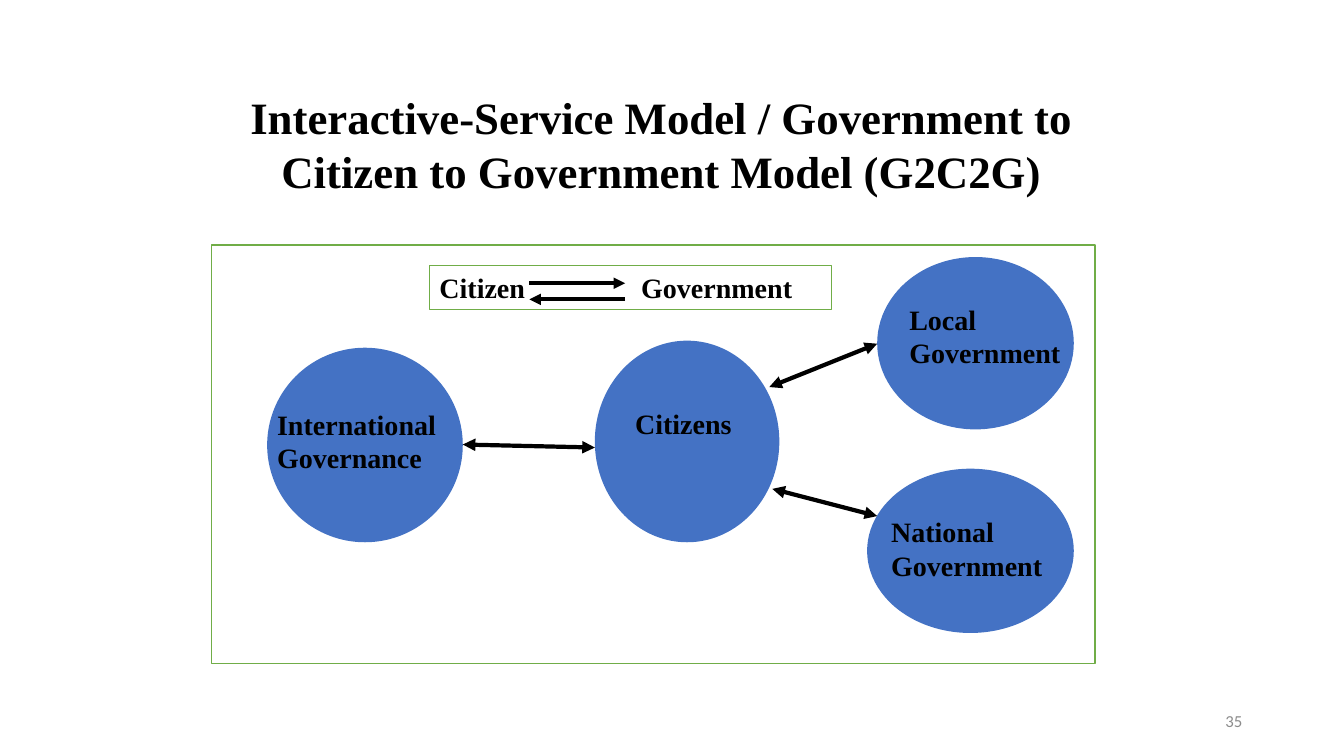
"""Build the G2C2G interactive-service model slide."""
from lxml.etree import SubElement
from pptx import Presentation
from pptx.dml.color import RGBColor
from pptx.enum.shapes import MSO_CONNECTOR as Link, MSO_SHAPE as Preset
from pptx.enum.text import MSO_ANCHOR as Anchor, MSO_AUTO_SIZE as AutoSize, PP_ALIGN as Align
from pptx.oxml.ns import qn
from pptx.util import Pt

PX = 9144
COLORS = {"black": "000000", "white": "FFFFFF", "blue": "4472C4",
          "green": "70AD47", "gray": "8C8C8C"}

TITLE = ["Interactive-Service Model / Government to",
         "Citizen to Government Model (G2C2G)"]
TITLE_BOX = (210, 29, 892, 172)
FRAME_BOX = (210, 243, 876, 415)
LEGEND = "Citizen\tGovernment"
LEGEND_BOX = (426, 263, 399, 44)
LEGEND_TAB = 200
PAGE_NUMBER = "35"
NUMBER_BOX = (942, 695, 300, 40)

ACTORS = [
    ("International Governance", (265, 345, 194, 193), (265, 399, 190, 77)),
    ("National Government", (860, 465, 205, 163), (874, 506, 237, 77)),
    ("Citizens", (590, 338, 183, 200), (620, 398, 122, 44)),
    ("Local Government", (870, 255, 195, 171), (892, 295, 173, 77)),
]
TWO_WAY = [((459, 441), (590, 444)), ((763, 384), (870, 341)), ((766, 485), (870, 512))]
ONE_WAY = [((525, 281), (620, 281)), ((620, 297), (525, 297))]


def emu(lengths):
    return [length * PX for length in lengths]


def color(name):
    return RGBColor.from_string(COLORS[name])


def write(frame, lines, size=20, font="Times New Roman", fill="black", bold=True,
          align=Align.LEFT, anchor=Anchor.TOP, tab=None):
    frame.word_wrap = True
    frame.auto_size = AutoSize.NONE
    frame.vertical_anchor = anchor
    for index, line in enumerate(lines):
        para = frame.add_paragraph() if index else frame.paragraphs[0]
        para.alignment = align
        if tab:
            stops = SubElement(para._p.get_or_add_pPr(), qn("a:tabLst"))
            SubElement(stops, qn("a:tab"), pos=str(tab * PX), algn="l")
        span = para.add_run()
        span.text = line
        span.font.name, span.font.size, span.font.bold = font, Pt(size), bold
        span.font.color.rgb = color(fill)


def add_label(page, text, box, **style):
    write(page.shapes.add_textbox(*emu(box)).text_frame, [text], **style)


def add_figure(page, preset, box, fill=None, line=None, width=1):
    figure = page.shapes.add_shape(preset, *emu(box))
    figure.shadow.inherit = False
    if fill:
        figure.fill.solid()
        figure.fill.fore_color.rgb = color(fill)
    else:
        figure.fill.background()
    if line:
        figure.line.color.rgb = color(line)
        figure.line.width = Pt(width)
    else:
        figure.line.fill.background()
    return figure


def add_arrow(page, start, end, width, ends):
    arrow = page.shapes.add_connector(Link.STRAIGHT, *emu(start + end))
    arrow.line.color.rgb = color("black")
    arrow.line.width = Pt(width)
    for tag in ends:
        SubElement(arrow.line._get_or_add_ln(), qn(tag), type="triangle")
    SubElement(arrow._element.spPr, qn("a:effectLst"))


def main():
    deck = Presentation()
    deck.slide_width, deck.slide_height = emu((1333, 750))
    page = deck.slides.add_slide(deck.slide_layouts[5])

    title = page.shapes.title
    title.left, title.top, title.width, title.height = emu(TITLE_BOX)
    write(title.text_frame, TITLE, size=32, align=Align.CENTER, anchor=Anchor.BOTTOM)
    add_label(page, PAGE_NUMBER, NUMBER_BOX, size=12, font="Calibri", fill="gray",
              bold=False, align=Align.RIGHT, anchor=Anchor.MIDDLE)

    add_figure(page, Preset.RECTANGLE, FRAME_BOX, fill="white", line="green")
    for _, circle, _ in ACTORS:
        add_figure(page, Preset.OVAL, circle, fill="blue")
    for name, _, box in ACTORS:
        add_label(page, name, box)

    legend = add_figure(page, Preset.RECTANGLE, LEGEND_BOX, line="green", width=0.75)
    write(legend.text_frame, [LEGEND], tab=LEGEND_TAB)

    for start, end in TWO_WAY:
        add_arrow(page, start, end, 3, ("a:headEnd", "a:tailEnd"))
    for start, end in ONE_WAY:
        add_arrow(page, start, end, 2.75, ("a:tailEnd",))

    deck.save("out.pptx")


if __name__ == "__main__":
    main()
